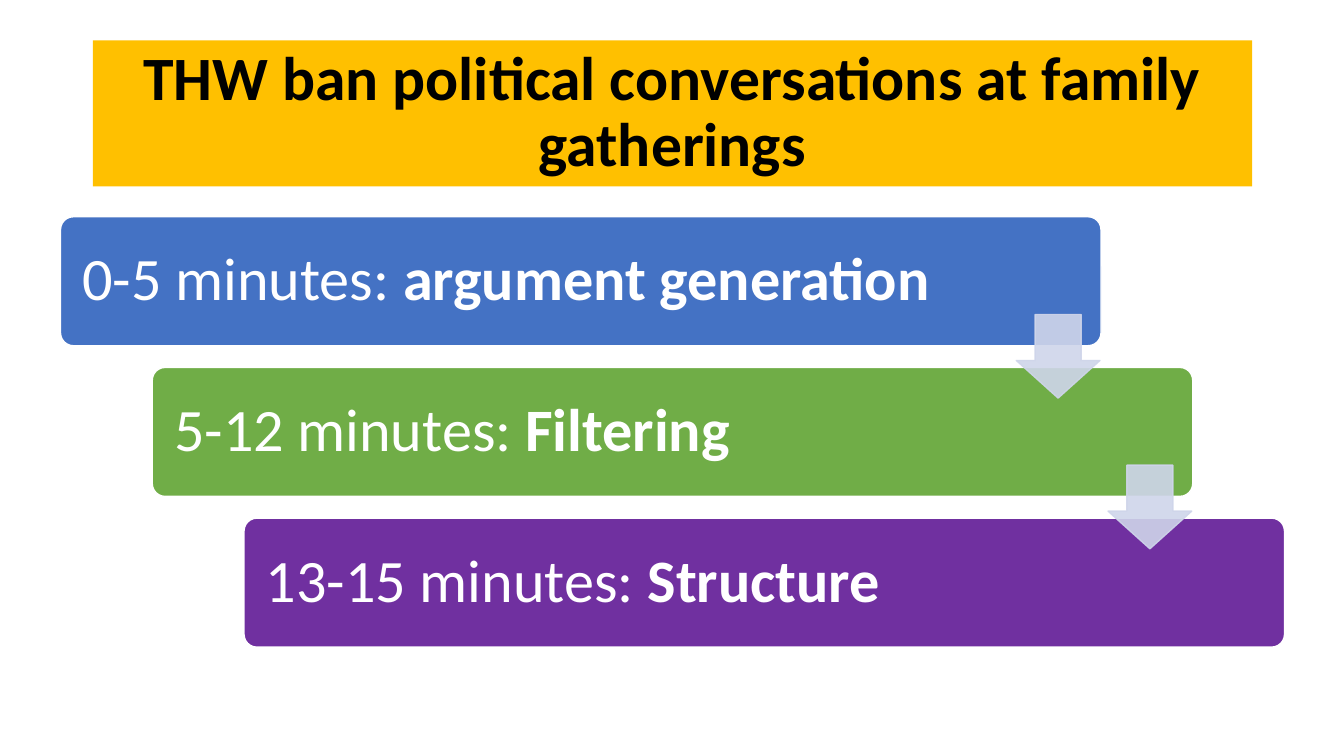
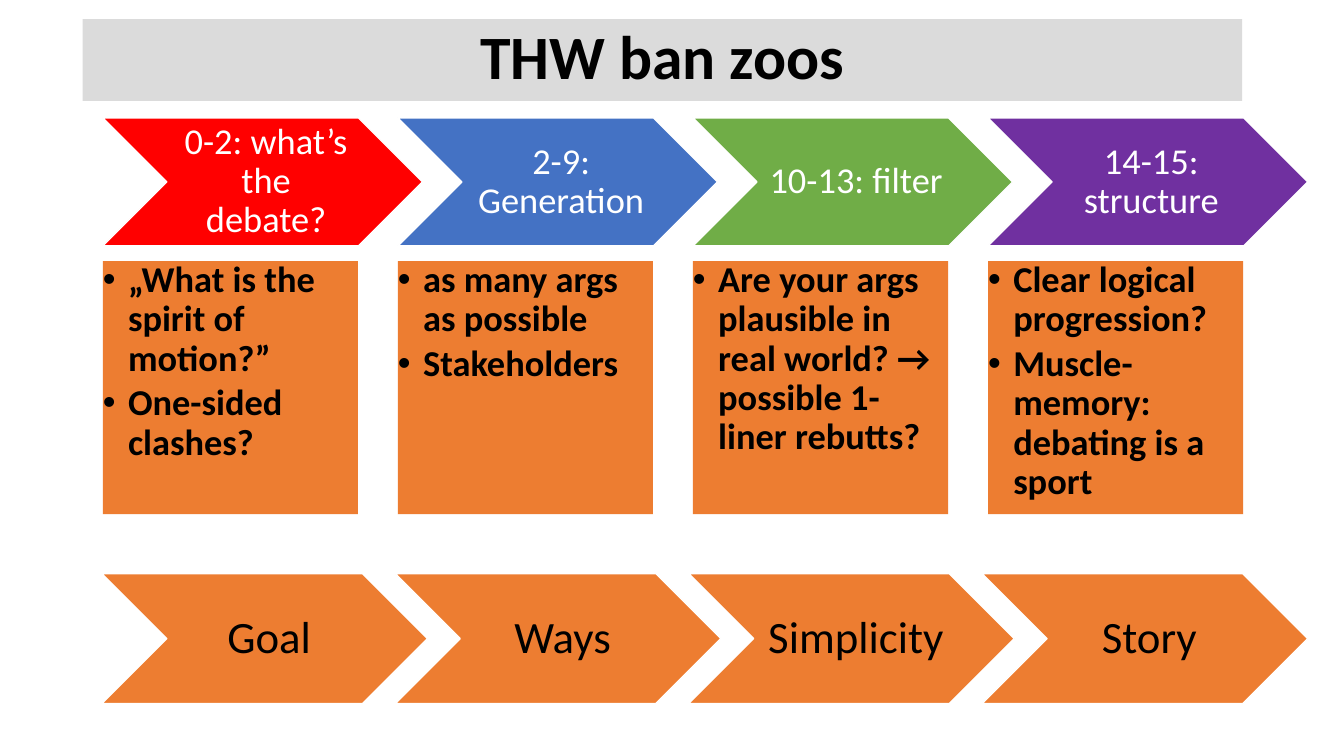
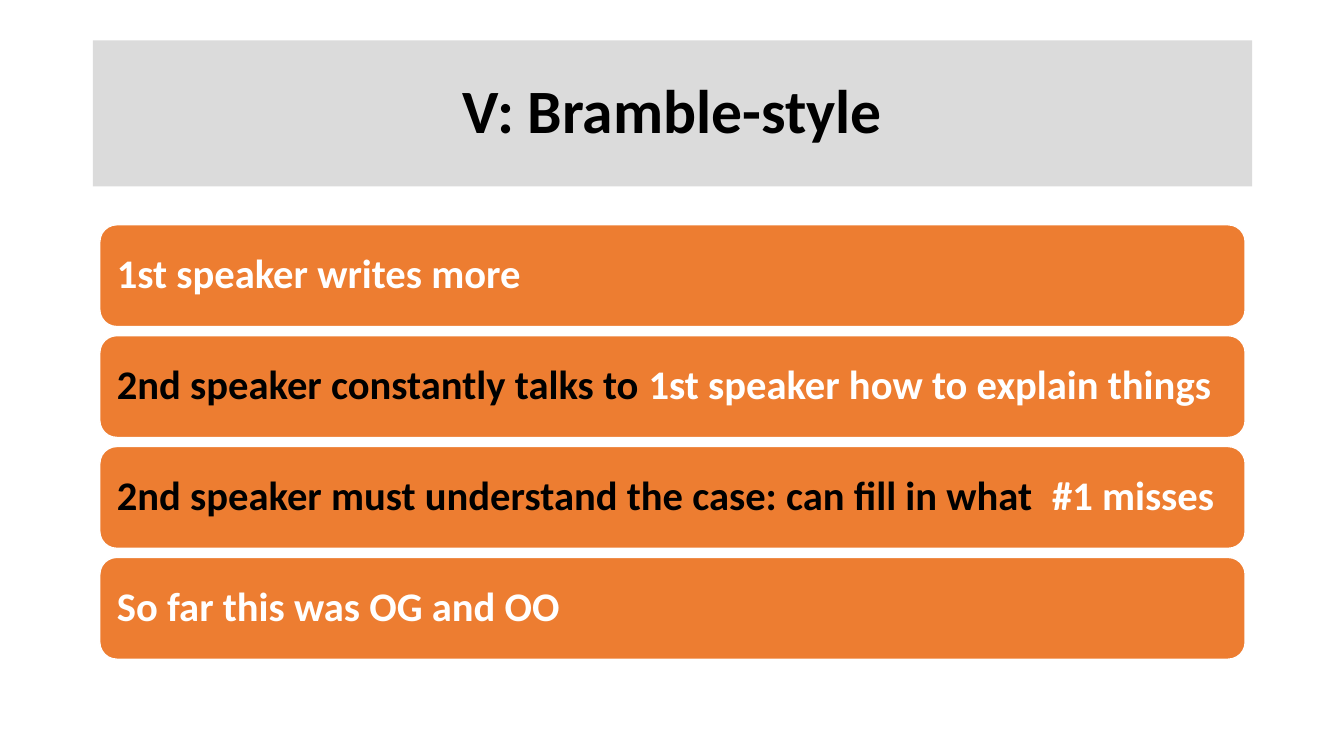
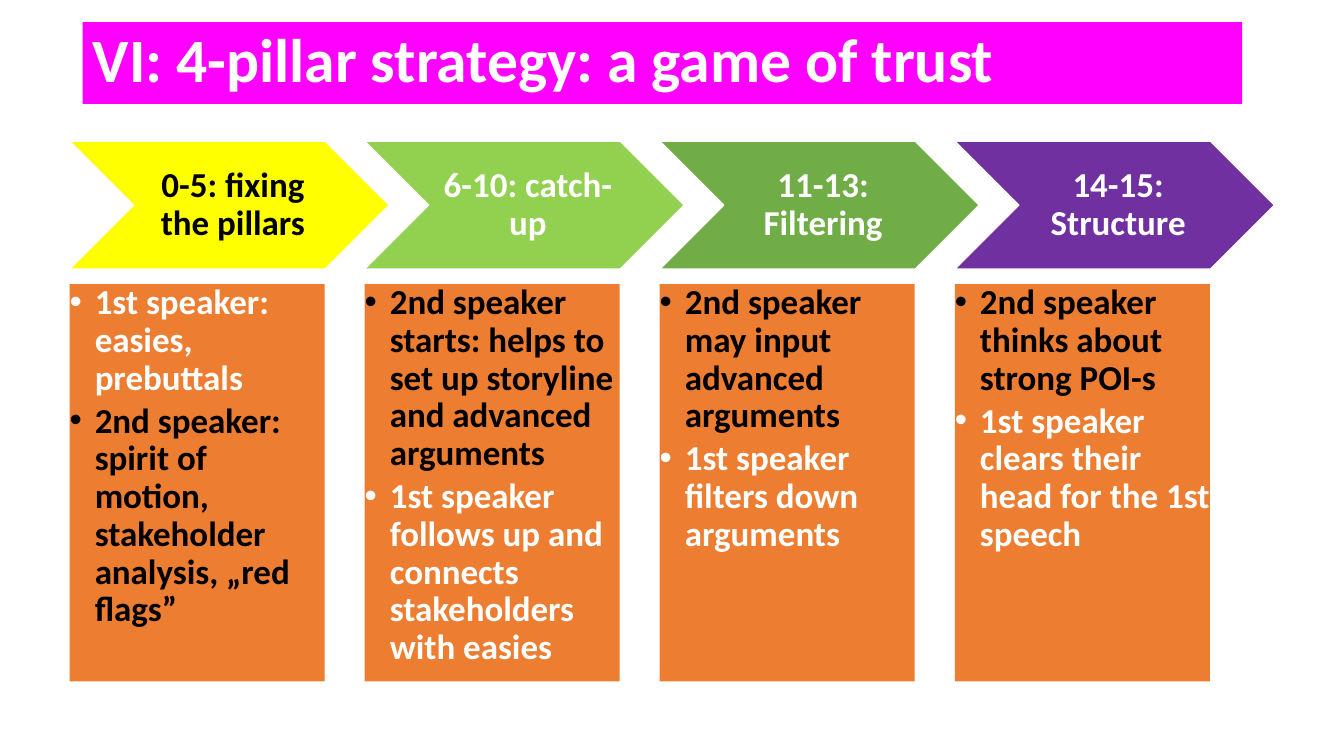
from lxml.etree import SubElement
from pptx import Presentation
from pptx.dml.color import RGBColor
from pptx.enum.shapes import MSO_SHAPE as SHAPE
from pptx.enum.text import MSO_ANCHOR as ANCHOR, MSO_AUTO_SIZE as AUTO, PP_ALIGN as ALIGN
from pptx.oxml.ns import qn
from pptx.util import Inches, Pt

C = {
    "white": "FFFFFF", "black": "000000", "gold": "FFC000", "grey": "DBDBDB",
    "magenta": "FF00FF", "blue": "4472C4", "green": "70AD47", "purple": "7030A0",
    "orange": "ED7D31", "red": "FF0000", "yellow": "FFFF00", "lime": "92D050",
    "mist": "CFD5EA",
}
FONT = "Calibri"
TALL_TITLE = (0.92, 0.4, 11.5, 1.45)


def rgb(name):
    """Return the named palette colour."""
    return RGBColor.from_string(C[name])


def inches(box):
    """Convert a box of numbers to lengths."""
    return [Inches(v) for v in box]


def write(sp, paras, size, color="white", bold=False, align=ALIGN.LEFT,
          anchor=ANCHOR.MIDDLE, insets=None, after=0, bullet=False):
    """Fill a shape with paragraphs, each a list of (text, overrides) runs."""
    tf = sp.text_frame
    frame = {"word_wrap": True, "auto_size": AUTO.NONE, "vertical_anchor": anchor}
    if insets:
        sides = ("margin_left", "margin_top", "margin_right", "margin_bottom")
        frame.update(zip(sides, inches(insets)))
    for key, value in frame.items():
        setattr(tf, key, value)
    for i, runs in enumerate(paras):
        p = tf.add_paragraph() if i else tf.paragraphs[0]
        fmt = {"alignment": align, "line_spacing": 0.9, "space_after": Pt(after)}
        for key, value in fmt.items():
            setattr(p, key, value)
        if bullet:
            pPr = p._p.get_or_add_pPr()
            pPr.set("marL", str(Inches(0.25)))
            pPr.set("indent", str(Inches(-0.25)))
            SubElement(pPr, qn("a:buFont")).set("typeface", "Arial")
            SubElement(pPr, qn("a:buChar")).set("char", "•")
        for text, changes in runs:
            r = p.add_run()
            r.text = text
            font = {"color": color, "bold": bold, "size": Pt(size), "name": FONT, **changes}
            r.font.color.rgb = rgb(font.pop("color"))
            for key, value in font.items():
                setattr(r.font, key, value)


def add_box(s, kind, box, fill, line=None, adj=()):
    """Add a flat preset shape."""
    sp = s.shapes.add_shape(kind, *inches(box))
    sp.shadow.inherit = False
    sp.fill.solid()
    sp.fill.fore_color.rgb = rgb(fill)
    if line:
        sp.line.color.rgb = rgb(line)
        sp.line.width = Pt(1)
    else:
        sp.line.fill.background()
    for i, value in enumerate(adj):
        sp.adjustments[i] = value
    return sp


def add_slide(prs, title, box, fill, color="black", align=ALIGN.CENTER):
    """Add a title-only slide with a filled title band."""
    s = prs.slides.add_slide(prs.slide_layouts[5])
    sp = s.shapes.title
    sp.left, sp.top, sp.width, sp.height = inches(box)
    sp.fill.solid()
    sp.fill.fore_color.rgb = rgb(fill)
    write(sp, [[(title, {})]], 44, color, True, align, insets=(0.1, 0.05, 0.1, 0.05))
    return s


def add_staircase(s, box, steps):
    """Place stepped bars across the box, linked by translucent arrows."""
    x, y, w, h = box
    bar_w, bar_h, side = 10.32, 1.28, 0.83
    dx, dy = (w - bar_w) / (len(steps) - 1), (h - bar_h) / (len(steps) - 1)
    for i, (time, task, fill) in enumerate(steps):
        bar = (x + i * dx, y + i * dy, bar_w, bar_h)
        sp = add_box(s, SHAPE.ROUNDED_RECTANGLE, bar, fill, "white", (0.1,))
        write(sp, [[(time, {}), (task, {"bold": True})]], 43, insets=(0.18,) * 4)
    for i in range(len(steps) - 1):
        at = (x + i * dx + bar_w - side - 0.01, y + i * dy + 0.97, side, side)
        arrow = add_box(s, SHAPE.DOWN_ARROW, at, "mist", "mist", (0.55, 0.45))
        for clr in arrow._element.spPr.iter(qn("a:srgbClr")):
            SubElement(clr, qn("a:alpha")).set("val", "90000")


def add_chevrons(s, box, item_w, items, size, bold=False, insets=(0.11, 0.04, 0.04, 0.04)):
    """Spread chevrons evenly over the box and return their left edges."""
    x, y, w, h = box
    step = (w - item_w) / (len(items) - 1)
    lefts = [x + i * step for i in range(len(items))]
    for left, (text, fill, color) in zip(lefts, items):
        sp = add_box(s, SHAPE.CHEVRON, (left, y, item_w, h), fill, "white")
        write(sp, [[(text, {})]], size, color, bold, ALIGN.CENTER, insets=insets)
    return lefts


def add_phases(s, x, y, panel_h, phases, size, bold=False):
    """Place a row of chevrons with a bulleted panel under each."""
    heads = [phase[:3] for phase in phases]
    lefts = add_chevrons(s, (x, y, 11.95, 1.27), 3.17, heads, size, bold)
    for left, (*_, points) in zip(lefts, phases):
        sp = add_box(s, SHAPE.RECTANGLE, (left, y + 1.42, 2.53, panel_h), "orange")
        paras = [[(text, {"color": color})] for text, color in points]
        write(sp, paras, size, bold=True, anchor=ANCHOR.TOP, insets=(0,) * 4,
              after=size * 0.15, bullet=True)


def add_bars(s, box, rows):
    """Stack equal bars down the box."""
    x, y, w, h = box
    bar_h = 1.01
    step = (h - bar_h) / (len(rows) - 1)
    for i, row in enumerate(rows):
        sp = add_box(s, SHAPE.ROUNDED_RECTANGLE, (x, y + i * step, w, bar_h), "orange", "white")
        runs = [(text, {"color": color}) for text, color in row]
        write(sp, [runs], 29, bold=True, insets=(0.12,) * 4)


def family_slide(prs):
    """Build the three-step timing slide."""
    s = add_slide(prs, "THW ban political conversations at family gatherings", TALL_TITLE, "gold")
    add_staircase(s, (0.6, 2.15, 12.14, 4.27), [
        ("0-5 minutes: ", "argument generation", "blue"),
        ("5-12 minutes: ", "Filtering", "green"),
        ("13-15 minutes: ", "Structure", "purple"),
    ])


def zoo_slide(prs):
    """Build the four-phase slide with its row of aims."""
    s = add_slide(prs, "THW ban zoos", (0.82, 0.19, 11.5, 0.81), "grey")
    add_phases(s, 1.02, 1.17, 2.51, [
        ("0-2: what’s the debate?", "red", "white",
         [("„What is the spirit of motion?”", "black"), ("One-sided clashes?", "black")]),
        ("2-9: Generation", "blue", "white",
         [("as many args as possible", "black"), ("Stakeholders", "black")]),
        ("10-13: filter", "green", "white",
         [("Are your args plausible in real world? → possible 1-liner rebutts?", "black")]),
        ("14-15: structure", "purple", "white",
         [("Clear logical progression?", "black"),
          ("Muscle-memory: debating is a sport", "black")]),
    ], 26)
    aims = [(text, "orange", "black") for text in ("Goal", "Ways", "Simplicity", "Story")]
    add_chevrons(s, (1.01, 5.69, 11.96, 1.29), 3.23, aims, 32, insets=(0.14, 0.05, 0.05, 0.05))


def speaker_slide(prs):
    """Build the slide of speaker roles."""
    s = add_slide(prs, "V: Bramble-style", TALL_TITLE, "grey")
    add_bars(s, (0.99, 2.23, 11.36, 4.31), [
        [("1st speaker writes more", "white")],
        [("2nd speaker constantly talks to ", "black"),
         ("1st speaker how to explain things", "white")],
        [("2nd speaker must understand the case: can fill in what  ", "black"),
         ("#1 misses", "white")],
        [("So far this was OG and OO", "white")],
    ])


def pillar_slide(prs):
    """Build the four-pillar strategy slide."""
    s = add_slide(prs, "VI: 4-pillar strategy: a game of trust", (0.82, 0.22, 11.5, 0.81),
                  "magenta", "white", ALIGN.LEFT)
    add_phases(s, 0.69, 1.4, 3.94, [
        ("0-5: fixing the pillars", "yellow", "black",
         [("1st speaker: easies, prebuttals", "white"),
          ("2nd speaker: spirit of motion, stakeholder analysis, „red flags”", "black")]),
        ("6-10: catch-up", "lime", "white",
         [("2nd speaker starts: helps to set up storyline and advanced arguments", "black"),
          ("1st speaker follows up and connects stakeholders with easies", "white")]),
        ("11-13: Filtering", "green", "white",
         [("2nd speaker may input advanced arguments", "black"),
          ("1st speaker filters down arguments", "white")]),
        ("14-15: Structure", "purple", "white",
         [("2nd speaker thinks about strong POI-s", "black"),
          ("1st speaker clears their head for the 1st speech", "white")]),
    ], 25, True)


def main():
    """Build and save the presentation."""
    prs = Presentation()
    prs.slide_width, prs.slide_height = Inches(13.33), Inches(7.5)
    for build in (family_slide, zoo_slide, speaker_slide, pillar_slide):
        build(prs)
    prs.save("out.pptx")


if __name__ == "__main__":
    main()
